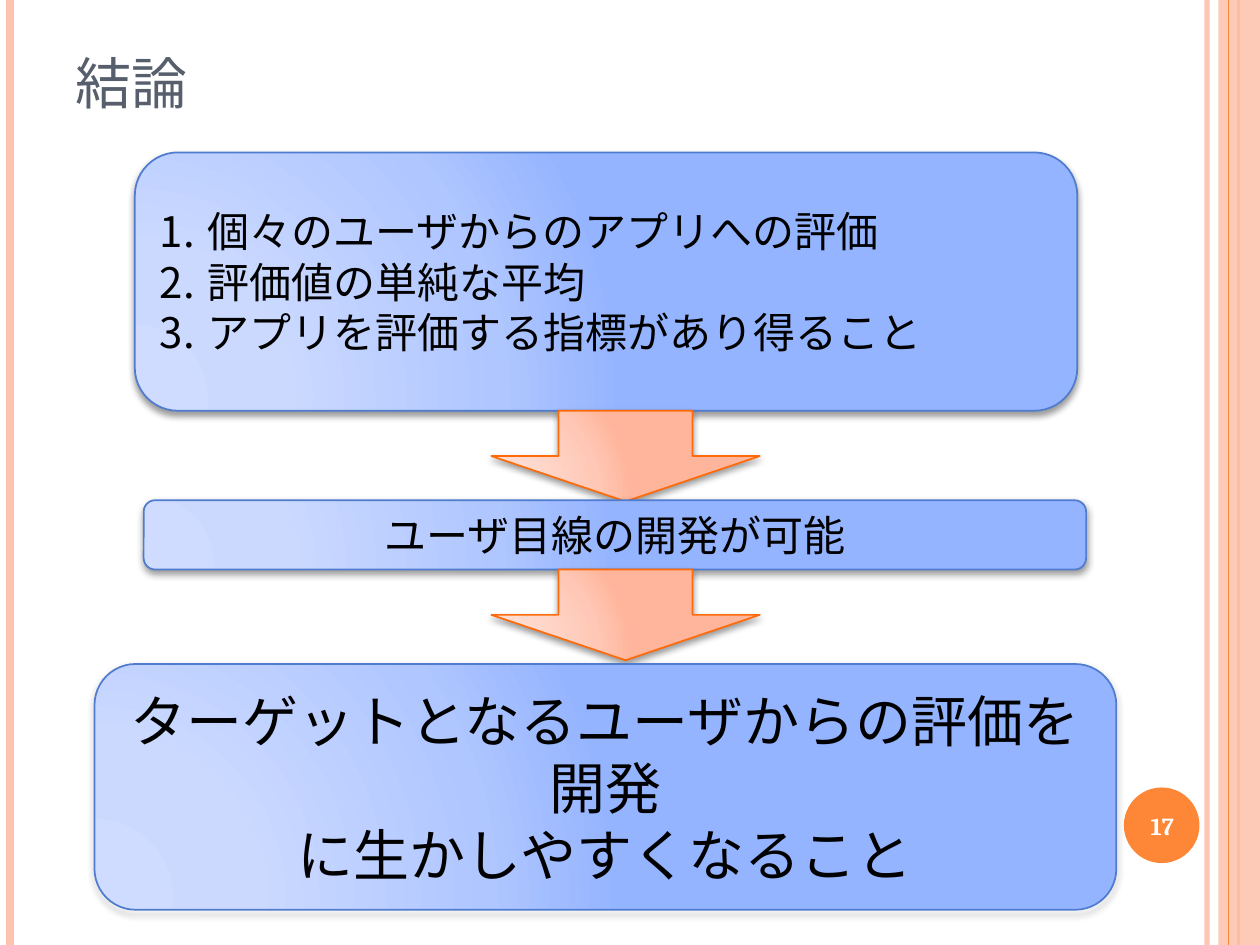
"""Builds the conclusion slide: three statements joined by down arrows."""
from lxml.etree import SubElement
from pptx import Presentation
from pptx.dml.color import RGBColor as Rgb
from pptx.enum.lang import MSO_LANGUAGE_ID as Lang
from pptx.enum.shapes import MSO_CONNECTOR as Link, MSO_SHAPE as Shape
from pptx.enum.text import MSO_ANCHOR as Anchor, PP_ALIGN as Align
from pptx.oxml import parse_xml
from pptx.oxml.ns import nsdecls, qn
from pptx.util import Inches, Pt

WIDTH, HEIGHT = 10, 7.5
TITLE = "結論"
PAGE = "17"
STATEMENTS = [
    {"lines": ["個々のユーザからのアプリへの評価", "評価値の単純な平均",
               "アプリを評価する指標があり得ること"],
     "area": (1.07, 1.21, 7.48, 2.05), "role": "reasons"},
    {"lines": ["ユーザ目線の開発が可能"],
     "area": (1.14, 3.97, 7.48, 0.55), "role": "result"},
    {"lines": ["ターゲットとなるユーザからの評価を開発", "に生かしやすくなること"],
     "area": (0.75, 5.27, 8.11, 1.95), "role": "conclusion"},
]
ARROW_LEFT, ARROW_WIDTH, ARROW_HEIGHT = 3.9, 2.13, 0.72
NUMBER_INDENT = 0.38

THEME = {
    "accent": "FE8637",
    "pale": "FEC3AE",
    "box": {"stops": ("CFDCFF", "CBD9FF", "AFC6FF", "95B4FF"), "edge": "4F7CCF"},
    "arrow": {"stops": ("FFDED5", "FFDBD0", "FFC8B6", "FFB59B"), "edge": "FF6B0A"},
    "stop_places": (0, 30, 75, 100),
    "text": {
        "title": {"size": 40, "name": "Cambria", "color": "575F6D"},
        "reasons": {"size": 24, "name": "Times New Roman", "color": "000000"},
        "result": {"size": 24, "name": "Cambria", "color": "000000"},
        "conclusion": {"size": 32, "name": "Cambria", "color": "000000"},
        "page": {"size": 14, "name": "Cambria", "color": "FFFFFF", "bold": True},
    },
}
RULES = [
    (9.58, "pale", 3, 93),
    (0.08, "pale", 4.5, 100),
    (9.83, "accent", 1.5, 100),
]
INNER_RULE = (9.75, "accent", 0.75, 100)


def inches(area):
    return [Inches(length) for length in area]


def set_alpha(properties, percent):
    if percent < 100:
        color = properties.find(".//" + qn("a:srgbClr"))
        SubElement(color, qn("a:alpha"), val=str(percent * 1000))


def add_rule(slide, x, color, weight, alpha):
    rule = slide.shapes.add_connector(Link.STRAIGHT, *inches((x, 0, x, HEIGHT)))
    rule.line.color.rgb = Rgb.from_string(THEME[color])
    rule.line.width = Pt(weight)
    properties = rule._element.spPr
    set_alpha(properties, alpha)
    SubElement(properties, qn("a:effectLst"))


def add_plain(slide, kind, area, color, alpha=100):
    plain = slide.shapes.add_shape(kind, *inches(area))
    plain.shadow.inherit = False
    plain.fill.solid()
    plain.fill.fore_color.rgb = Rgb.from_string(THEME[color])
    plain.line.fill.background()
    set_alpha(plain._element.spPr, alpha)


def add_glossy(slide, kind, area, look):
    glossy = slide.shapes.add_shape(kind, *inches(area))
    stops = "".join(
        f'<a:gs pos="{place * 1000}"><a:srgbClr val="{color}"/></a:gs>'
        for place, color in zip(THEME["stop_places"], THEME[look]["stops"]))
    properties = glossy._element.spPr
    properties.find(qn("a:prstGeom")).addnext(parse_xml(
        f'<a:gradFill {nsdecls("a")} rotWithShape="1"><a:gsLst>{stops}</a:gsLst>'
        '<a:path path="circle"><a:fillToRect l="5000" t="100000" r="120000" b="10000"/>'
        '</a:path></a:gradFill>'))
    glossy.line.color.rgb = Rgb.from_string(THEME[look]["edge"])
    glossy.line.width = Pt(1)
    glossy.shadow.inherit = False
    properties.find(qn("a:effectLst")).append(parse_xml(
        f'<a:outerShdw {nsdecls("a")} blurRad="{Pt(4)}" dist="{Pt(2)}" dir="5400000"'
        ' rotWithShape="0"><a:srgbClr val="000000"><a:alpha val="40000"/></a:srgbClr>'
        '</a:outerShdw>'))
    return glossy


def write(holder, lines, role, align=Align.CENTER, anchor=Anchor.MIDDLE):
    frame = holder.text_frame
    frame.word_wrap = True
    frame.vertical_anchor = anchor
    look = dict(THEME["text"][role])
    color = Rgb.from_string(look.pop("color"))
    look.update(size=Pt(look["size"]), language_id=Lang.JAPANESE)
    for index, line in enumerate(lines):
        paragraph = frame.add_paragraph() if index else frame.paragraphs[0]
        paragraph.alignment = align
        if role == "reasons":
            numbering = paragraph._p.get_or_add_pPr()
            numbering.set("marL", str(Inches(NUMBER_INDENT)))
            numbering.set("indent", str(-Inches(NUMBER_INDENT)))
            SubElement(numbering, qn("a:buFont"), typeface="+mj-lt")
            SubElement(numbering, qn("a:buAutoNum"), type="arabicPeriod")
        run = paragraph.add_run()
        run.text = line
        for attribute, value in look.items():
            setattr(run.font, attribute, value)
        run.font.color.rgb = color
        if role == "title":
            run._r.get_or_add_rPr().set("cap", "small")


def main():
    deck = Presentation()
    deck.slide_width, deck.slide_height = Inches(WIDTH), Inches(HEIGHT)
    slide = deck.slides.add_slide(deck.slide_layouts[6])

    for rule in RULES:
        add_rule(slide, *rule)
    add_plain(slide, Shape.RECTANGLE, (9.67, 0, WIDTH - 9.67, HEIGHT), "pale", 87)
    add_rule(slide, *INNER_RULE)
    add_plain(slide, Shape.OVAL, (8.92, 6.25, 0.6, 0.6), "accent")

    title = slide.shapes.add_textbox(*inches((0.5, 0.3, 8.17, 0.69)))
    write(title, [TITLE], "title", Align.LEFT, Anchor.BOTTOM)

    for statement in STATEMENTS:
        area, role = statement["area"], statement["role"]
        box = add_glossy(slide, Shape.ROUNDED_RECTANGLE, area, "box")
        align = Align.LEFT if role == "reasons" else Align.CENTER
        write(box, statement["lines"], role, align)
        if statement is not STATEMENTS[-1]:
            bottom = area[1] + area[3]
            add_glossy(slide, Shape.DOWN_ARROW,
                       (ARROW_LEFT, bottom, ARROW_WIDTH, ARROW_HEIGHT), "arrow")

    page = slide.shapes.add_textbox(*inches((8.89, 6.27, 0.67, 0.57)))
    write(page, [PAGE], "page")
    deck.save("out.pptx")


if __name__ == "__main__":
    main()
